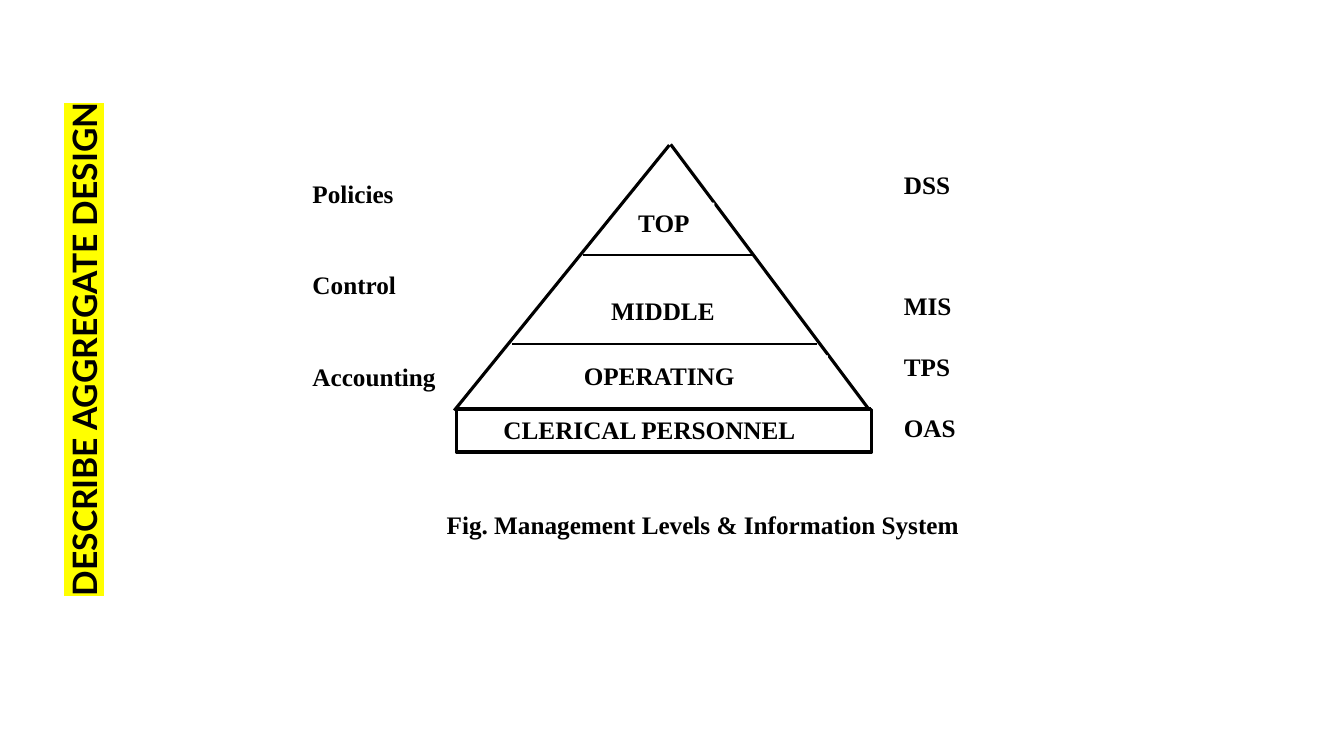
from lxml import etree
from pptx import Presentation
from pptx.dml.color import RGBColor
from pptx.enum.shapes import MSO_CONNECTOR, MSO_SHAPE
from pptx.enum.text import MSO_ANCHOR, MSO_AUTO_SIZE, PP_ALIGN
from pptx.oxml.ns import qn
from pptx.util import Inches, Pt

STRAIGHT, RECT = MSO_CONNECTOR.STRAIGHT, MSO_SHAPE.RECTANGLE
TOP, LEFT, NO_FIT = MSO_ANCHOR.TOP, PP_ALIGN.LEFT, MSO_AUTO_SIZE.NONE
COLORS = {"ink": "000000", "paper": "FFFFFF", "mark": "FFFF00"}


def rgb(name):
    return RGBColor.from_string(COLORS[name])


def write(p, text, size=18, font="Times New Roman", before=0, indent=0, mark=None):
    pPr = p._p.get_or_add_pPr()
    pPr.set("marL", str(Inches(indent)))
    pPr.set("indent", "0")
    etree.SubElement(pPr, qn("a:buNone"))
    p.alignment = LEFT
    p.line_spacing = 1.0
    p.space_before = Pt(before)
    r = p.add_run()
    r.text = text
    r.font.size, r.font.bold = Pt(size), True
    r.font.color.rgb = rgb("ink")
    if mark:
        hl = etree.Element(qn("a:highlight"))
        etree.SubElement(hl, qn("a:srgbClr")).set("val", COLORS[mark])
        r._r.get_or_add_rPr().find(qn("a:solidFill")).addnext(hl)
    r.font.name = font


class Page:
    """Places elements in percent of the slide's width and height."""

    def __init__(self, prs, layout):
        self.prs = prs
        self.slide = prs.slides.add_slide(prs.slide_layouts[layout])

    def scale(self, *shares):
        sides = (self.prs.slide_width, self.prs.slide_height)
        return [round(v * sides[i % 2] / 100) for i, v in enumerate(shares)]

    def fill(self, sp):
        sp.fill.solid()
        sp.fill.fore_color.rgb = rgb("paper")

    def frame(self, sp, top=0.05):
        tf = sp.text_frame
        tf.word_wrap, tf.auto_size, tf.vertical_anchor = True, NO_FIT, TOP
        tf.margin_left = tf.margin_right = Inches(0.1)
        tf.margin_top, tf.margin_bottom = Inches(top), Inches(0.05)
        return tf

    def title(self, text, at):
        sp = self.slide.shapes.title
        x, y, w, h = self.scale(*at)
        sp.left, sp.top = x + (w - h) // 2, y + (h - w) // 2
        sp.width, sp.height, sp.rotation = h, w, 270
        write(self.frame(sp).paragraphs[0], text, size=24, font="Lato", mark="mark")

    def labels(self, idx, items, at):
        sp = self.slide.placeholders[idx]
        sp.left, sp.top, sp.width, sp.height = self.scale(*at)
        self.fill(sp)
        tf = self.frame(sp, top=0.35)
        for i, (text, before) in enumerate(items):
            p = tf.add_paragraph() if i else tf.paragraphs[0]
            write(p, text, before=before)

    def line(self, x1, y1, x2, y2, width=2.25):
        ln = self.slide.shapes.add_connector(STRAIGHT, *self.scale(x1, y1, x2, y2))
        ln.line.color.rgb, ln.line.width = rgb("ink"), Pt(width)
        etree.SubElement(ln._element.spPr, qn("a:effectLst"))

    def box(self, text, at, indent=0, border=0):
        sp = self.slide.shapes.add_shape(RECT, *self.scale(*at))
        sp.shadow.inherit = False
        self.fill(sp)
        if border:
            sp.line.color.rgb, sp.line.width = rgb("ink"), Pt(border)
        else:
            sp.line.fill.background()
        write(self.frame(sp).paragraphs[0], text, indent=indent)


def main():
    prs = Presentation()
    prs.slide_width, prs.slide_height = Inches(13.333), Inches(7.5)
    page = Page(prs, 3)

    page.title("DESCRIBE AGGREGATE DESIGN", (4.35, 8.7, 4.6, 71.5))
    page.labels(1, [("Policies", 0), ("Control", 43.7), ("Accounting", 43.7)],
                (22.5, 18.9, 11.55, 33.9))
    page.labels(2, [("DSS", 0), ("MIS", 65), ("TPS", 22), ("OAS", 22)],
                (66.5, 17.7, 7.9, 41.3))

    page.line(49.8, 19.2, 33.8, 54.3)
    page.line(49.9, 19.1, 64.8, 54.5)
    for left, right, y, width in [(34.05, 64.8, 54.1, 2.25),
                                  (43.35, 55.95, 33.75, 1),
                                  (38.1, 60.8, 45.5, 1.5)]:
        page.line(left, y, right, y, width)

    page.box("TOP", (46.75, 26.8, 6.4, 5.5))
    page.box("MIDDLE", (41.95, 38.4, 15.4, 5.6), indent=0.37)
    page.box("OPERATING", (38.05, 47, 23.55, 5.5), indent=0.62)
    page.box("CLERICAL PERSONNEL", (33.95, 54.2, 30.9, 5.6), indent=0.37, border=2.25)
    page.box("Fig. Management Levels & Information System", (32.5, 66.7, 40.9, 10.5))

    prs.save("out.pptx")


if __name__ == "__main__":
    main()
